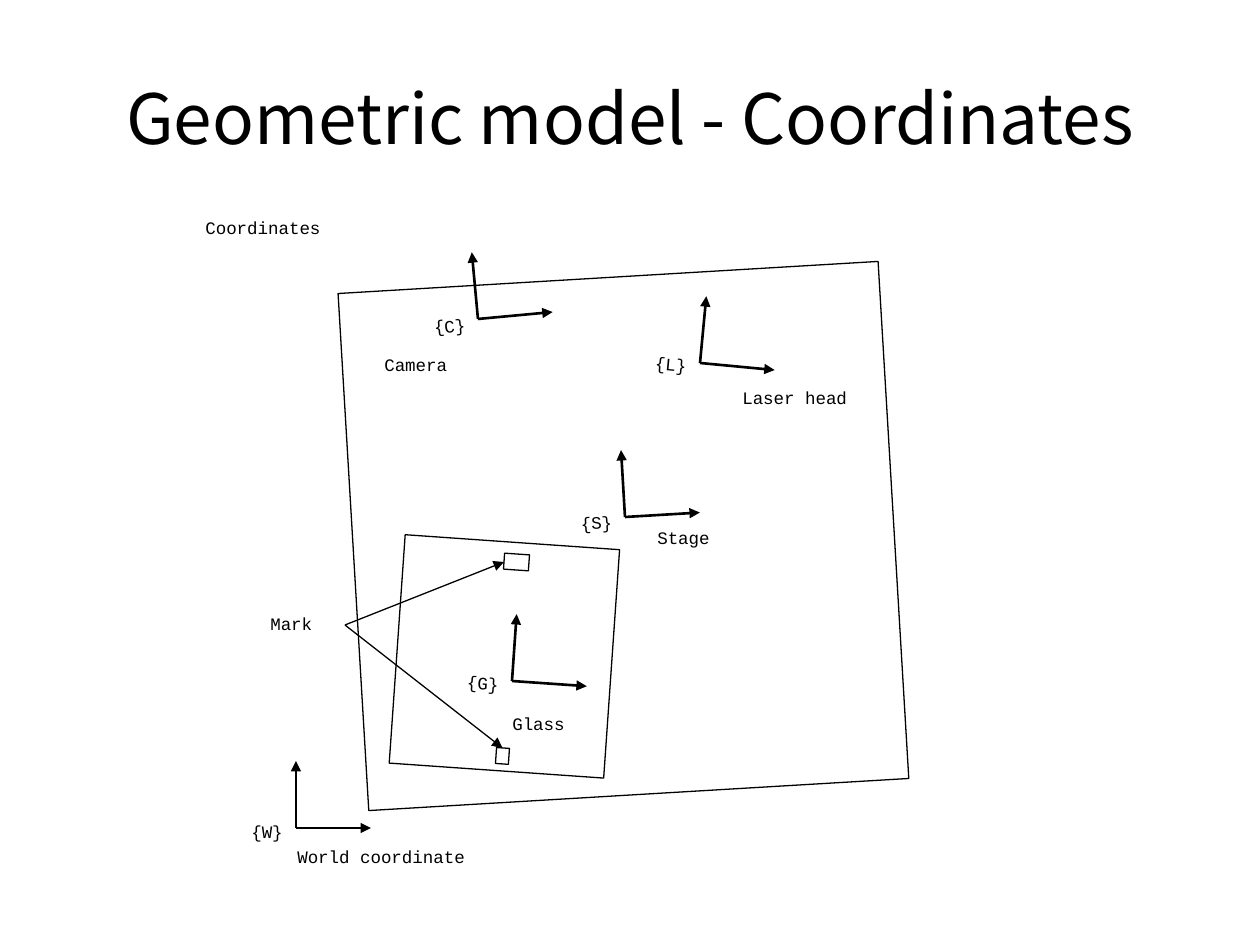
import math

import pptx
import pptx.dml.color
import pptx.enum.shapes
import pptx.enum.text
import pptx.oxml.ns
import pptx.util
from lxml import etree

PX = 914400 / 126
BLACK = pptx.dml.color.RGBColor(0, 0, 0)
WHITE = pptx.dml.color.RGBColor(255, 255, 255)
TITLE_FONT = "Noto Sans CJK KR"
LABEL_FONT = "Courier New"
ALIGN = pptx.enum.text.PP_ALIGN
ANCHOR = pptx.enum.text.MSO_ANCHOR

X_AXIS, Y_AXIS = 75, 67
TAG_WIDTH, TAG_HEIGHT = 76, 50
TAG_CENTER = (-19, 9)
CAPTION_WIDTH, CAPTION_HEIGHT = 237, 43

STAGE_ANGLE, GLASS_ANGLE = -3.4, 4
STAGE_BOX = (353, 277, 541, 518)
GLASS_BOX = (397, 542, 215, 229)

# tag, origin, angle, caption, caption offset from the origin
FRAMES = [
    ("{S}", (625, 517), STAGE_ANGLE, "Stage", (20, 1)),
    ("{G}", (512, 681), GLASS_ANGLE, "Glass", (-12, 23)),
    ("{W}", (296, 828), 0, "World coordinate", (-11, 9)),
    ("{C}", (478, 319), -5.3, "Camera", (-106, 26)),
    ("{L}", (700, 363), 5.4, "Laser head", (30, 15)),
]


def emu(*lengths):
    return [round(length * PX) for length in lengths]


def turn(point, angle):
    """Rotate a point clockwise about (0, 0), with y pointing down."""
    x, y = point
    cos, sin = math.cos(math.radians(angle)), math.sin(math.radians(angle))
    return x * cos - y * sin, x * sin + y * cos


def add_text(page, box, text, font, size, align, anchor, angle=0):
    shape = page.shapes.add_textbox(*emu(*box))
    shape.rotation = angle
    frame = shape.text_frame
    frame.word_wrap = True
    frame.vertical_anchor = anchor
    para = frame.paragraphs[0]
    para.alignment = align
    span = para.add_run()
    span.text = text
    span.font.name = font
    span.font.size = pptx.util.Pt(size)
    span.font.color.rgb = BLACK
    return shape


def add_label(page, box, text, angle=0):
    shape = add_text(page, box, text, LABEL_FONT, 10, ALIGN.JUSTIFY,
                     ANCHOR.TOP, angle)
    para = shape.text_frame.paragraphs[0]
    para.line_spacing = 1.15
    para.space_after = pptx.util.Pt(10)
    return shape


def add_rectangle(page, box, angle, filled=True):
    shape = page.shapes.add_shape(
        pptx.enum.shapes.MSO_SHAPE.RECTANGLE, *emu(*box))
    shape.rotation = angle
    shape.shadow.inherit = False
    if filled:
        shape.fill.solid()
        shape.fill.fore_color.rgb = WHITE
    else:
        shape.fill.background()
    shape.line.color.rgb = BLACK
    shape.line.width = pptx.util.Pt(0.75)
    return shape


def add_arrow(page, start, end, width):
    arrow = page.shapes.add_connector(
        pptx.enum.shapes.MSO_CONNECTOR.STRAIGHT, *emu(*start, *end))
    arrow.line.color.rgb = BLACK
    arrow.line.width = pptx.util.Pt(width)
    qn = pptx.oxml.ns.qn
    etree.SubElement(arrow.line._get_or_add_ln(), qn("a:tailEnd"),
                     type="triangle")
    etree.SubElement(arrow._element.spPr, qn("a:effectLst"))
    return arrow


def add_frame(page, tag, origin, angle, caption, caption_offset):
    """Draw a pair of axes with its tag and caption around the origin."""
    left, top = origin

    def place(point):
        x, y = turn(point, angle)
        return left + x, top + y

    for tip in ((X_AXIS, 0), (0, -Y_AXIS)):
        add_arrow(page, origin, place(tip), 1.5)
    x, y = place(TAG_CENTER)
    tag_box = (x - TAG_WIDTH / 2, y - TAG_HEIGHT / 2, TAG_WIDTH, TAG_HEIGHT)
    add_label(page, tag_box, tag, angle)
    dx, dy = caption_offset
    add_label(page, (left + dx, top + dy, CAPTION_WIDTH, CAPTION_HEIGHT),
              caption)


def add_glass(page, box):
    """Draw the glass plate, its two marks and the arrows to them."""
    left, top, width, height = box
    add_rectangle(page, box, GLASS_ANGLE, filled=False)
    label = add_label(page, (left - 139, top + 62, 87, 42), "Mark")
    marks = [((left + 107, top + 12, 25, 16), 1),
             ((left + 99, top + 206, 13, 16), 0)]
    for mark_box, side in marks:
        mark = add_rectangle(page, mark_box, GLASS_ANGLE)
        arrow = add_arrow(page, (left, top), (left, top), 0.75)
        arrow.begin_connect(label, 3)
        arrow.end_connect(mark, side)


def main():
    deck = pptx.Presentation()
    deck.slide_width, deck.slide_height = emu(1260, 945)
    page = deck.slides.add_slide(deck.slide_layouts[6])
    add_text(page, (63, 38, 1134, 158), "Geometric model - Coordinates",
             TITLE_FONT, 39.6, ALIGN.CENTER, ANCHOR.MIDDLE)
    add_label(page, (193, 208, CAPTION_WIDTH, CAPTION_HEIGHT), "Coordinates")
    add_rectangle(page, STAGE_BOX, STAGE_ANGLE)
    add_glass(page, GLASS_BOX)
    for frame in FRAMES:
        add_frame(page, *frame)
    deck.save("out.pptx")


if __name__ == "__main__":
    main()
